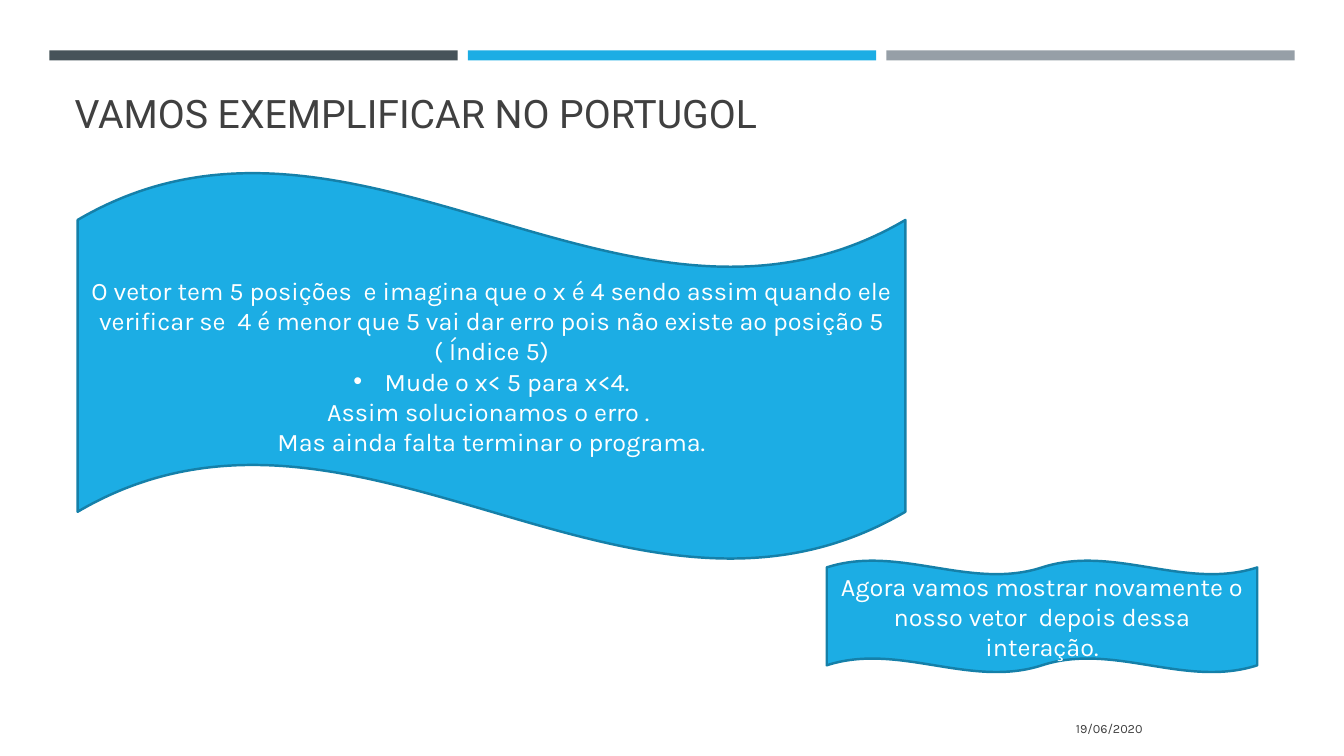
from lxml import etree
from pptx import Presentation
from pptx.dml.color import RGBColor
from pptx.enum.shapes import MSO_SHAPE
from pptx.enum.text import MSO_ANCHOR, MSO_AUTO_SIZE, PP_ALIGN
from pptx.oxml.ns import qn
from pptx.util import Inches, Pt

RECT, WAVE, DOUBLE = MSO_SHAPE.RECTANGLE, MSO_SHAPE.WAVE, MSO_SHAPE.DOUBLE_WAVE
LEFT, CENTER, RIGHT = PP_ALIGN.LEFT, PP_ALIGN.CENTER, PP_ALIGN.RIGHT
MIDDLE, BOTTOM = MSO_ANCHOR.MIDDLE, MSO_ANCHOR.BOTTOM
NONE = MSO_AUTO_SIZE.NONE

BLUE, EDGE, WHITE, DARK = "1CADE4", "1580A9", "FFFFFF", "404040"
BARS = ["465359", BLUE, "969FA7"]
ERROR = [
    "O vetor tem 5 posições  e imagina que o x é 4 sendo assim quando ele "
    "verificar se  4 é menor que 5 vai dar erro pois não existe ao posição 5 "
    "( Índice 5)",
    "Mude o x< 5 para x<4.",
    "Assim solucionamos o erro . ",
    "Mas ainda falta terminar o programa.",
]
NEXT = ["Agora vamos mostrar novamente o nosso vetor  depois dessa interação."]


def color(code):
    return RGBColor.from_string(code)


def write(frame, lines, size=18, font="Karla", ink=WHITE, align=CENTER, anchor=MIDDLE):
    frame.word_wrap = True
    frame.auto_size = NONE
    frame.vertical_anchor = anchor
    for i, line in enumerate(lines):
        para = frame.paragraphs[0] if i == 0 else frame.add_paragraph()
        para.alignment = align
        run = para.add_run()
        run.text = line
        run.font.size = Pt(size)
        run.font.name = font
        run.font.color.rgb = color(ink)


def bullet(para, indent):
    props = para._p.get_or_add_pPr()
    props.set("marL", str(Inches(indent)))
    props.set("indent", str(Inches(-indent)))
    etree.SubElement(props, qn("a:buFont")).set("typeface", "Arial")
    etree.SubElement(props, qn("a:buChar")).set("char", "•")


def block(slide, kind, box, fill, edge=None):
    shape = slide.shapes.add_shape(kind, *map(Inches, box))
    shape.shadow.inherit = False
    shape.fill.solid()
    shape.fill.fore_color.rgb = color(fill)
    if edge:
        shape.line.color.rgb = color(edge)
        shape.line.width = Pt(1.75)
    else:
        shape.line.fill.background()
    return shape


def head(slide, text, box):
    title = slide.shapes.title
    title.left, title.top, title.width, title.height = map(Inches, box)
    write(title.text_frame, [text], size=28, font="Roboto", ink=DARK,
          align=LEFT, anchor=BOTTOM)


def date(slide, text, box):
    label = slide.shapes.add_textbox(*map(Inches, box))
    write(label.text_frame, [text], size=9, ink=DARK, align=RIGHT)


def main():
    deck = Presentation()
    deck.slide_width, deck.slide_height = Inches(13.33), Inches(7.5)
    slide = deck.slides.add_slide(deck.slide_layouts[5])
    for i, fill in enumerate(BARS):
        block(slide, RECT, (0.49 + 4.15 * i, 0.5, 4.05, 0.1), fill)
    head(slide, "VAMOS EXEMPLIFICAR NO PORTUGOL", (0.64, 0.77, 12.06, 0.63))
    date(slide, "19/06/2020", (8.32, 7.03, 3.11, 0.4))
    wave = block(slide, WAVE, (0.77, 1.7, 8.21, 3.86), BLUE, EDGE)
    write(wave.text_frame, ERROR)
    bullet(wave.text_frame.paragraphs[1], 0.31)
    flag = block(slide, DOUBLE, (8.2, 5.56, 4.27, 1.11), BLUE, EDGE)
    write(flag.text_frame, NEXT)
    deck.save("out.pptx")


if __name__ == "__main__":
    main()
